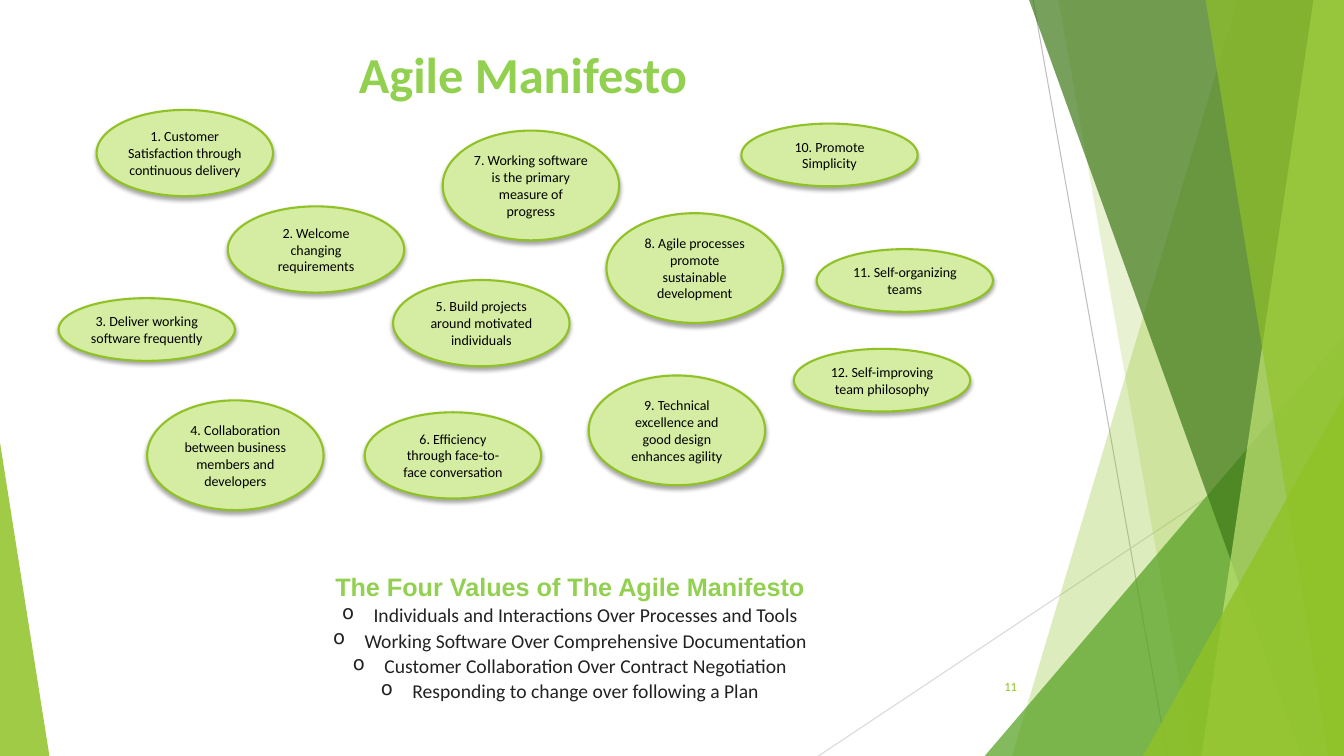
from lxml.etree import SubElement
from pptx import Presentation
from pptx.dml.color import RGBColor
from pptx.enum.shapes import MSO_CONNECTOR, MSO_SHAPE
from pptx.enum.text import MSO_ANCHOR, MSO_AUTO_SIZE, PP_ALIGN
from pptx.oxml.ns import qn
from pptx.util import Pt

WIDTH, HEIGHT = 960, 540
GREEN, TITLE_GREEN, PALE_GREEN = "90C226", "92D050", "D5EDA2"
INSET = 3.6

# Principles: left, top, number of text lines, text
PRINCIPLES = [
    (69, 78.5, 3, "1. Customer Satisfaction through continuous delivery"),
    (162.7, 147.4, 3, "2. Welcome changing\nrequirements"),
    (41.8, 213, 2, "3. Deliver working software frequently"),
    (105.1, 286, 4, "4. Collaboration between business members and developers"),
    (280.8, 200, 3, "5. Build projects around motivated individuals"),
    (260.5, 294.5, 3, "6. Efficiency through face-to-face conversation"),
    (316.2, 93.3, 4, "7. Working software is the primary measure of progress"),
    (433.2, 152.3, 4, "8. Agile processes promote sustainable development"),
    (420.5, 268.2, 4, "9. Technical excellence and good design enhances agility"),
    (529.5, 88.3, 2, "10. Promote Simplicity"),
    (583.3, 178, 2, "11. Self-organizing teams"),
    (567, 249.2, 2, "12. Self-improving team philosophy"),
]
VALUES = [
    "Individuals and Interactions Over Processes and Tools",
    "Working Software Over Comprehensive Documentation",
    "Customer Collaboration Over Contract Negotiation",
    "Responding to change over following a Plan",
]


def color(hex_code):
    return RGBColor.from_string(hex_code)


def set_font(paragraph, size, hex_code, name="Calibri", bold=False):
    font = paragraph.font
    font.size, font.name, font.bold = Pt(size), name, bold
    font.color.rgb = color(hex_code)


def set_frame(frame, anchor=MSO_ANCHOR.TOP, wrap=True):
    frame.margin_left = frame.margin_right = Pt(INSET)
    frame.margin_top = frame.margin_bottom = Pt(INSET)
    frame.auto_size = MSO_AUTO_SIZE.NONE
    frame.word_wrap = wrap
    frame.vertical_anchor = anchor


def add_facet(slide, points, hex_code, opacity):
    start, *others = [(Pt(x), Pt(y)) for x, y in points]
    builder = slide.shapes.build_freeform(*start)
    builder.add_line_segments(others, close=True)
    facet = builder.convert_to_shape()
    facet.shadow.inherit = False
    facet.fill.solid()
    facet.fill.fore_color.rgb = color(hex_code)
    facet.line.fill.background()
    fill_color = facet.fill._xPr.find(qn("a:solidFill"))[0]
    SubElement(fill_color, qn("a:alpha"), val=str(opacity * 1000))


def add_backdrop(slide, left, top, width, height):
    right, bottom = left + width, top + height

    # Thin crossing lines
    for x1, y1, x2, y2, hex_code in [
        (738, 0, 833.8, height, "BFBFBF"),
        (width, 290.2, 584.6, height, "D9D9D9"),
    ]:
        ray = slide.shapes.add_connector(
            MSO_CONNECTOR.STRAIGHT,
            Pt(left + x1), Pt(top + y1), Pt(left + x2), Pt(top + y2))
        ray.line.color.rgb = color(hex_code)
        ray.line.width = Pt(0.75)
        SubElement(ray._element.spPr, qn("a:effectLst"))

    # Facets on the right edge: top x, top y, bottom x, colour, opacity
    for top_x, top_y, bottom_x, hex_code, opacity in [
        (884.2, 0, 722.9, GREEN, 30),
        (756, 0, 851.8, GREEN, 20),
        (width, 239.8, 703.4, "54A021", 72),
        (735.1, 0, 929.5, "3F7819", 70),
        (938.2, 0, 858.2, "C0E474", 70),
        (861.1, 0, 949, GREEN, 65),
        (width, 283, 816.5, GREEN, 80),
    ]:
        points = [(left + top_x, top + top_y), (right, top + top_y),
                  (right, bottom), (left + bottom_x, bottom)]
        add_facet(slide, points, hex_code, opacity)

    # Wedge in the lower left corner
    add_facet(slide, [(left, bottom), (left, top + 316.1), (left + 35.3, bottom)],
              GREEN, 85)


def add_title(slide, left, top, width, height):
    title = slide.shapes.title
    title.left, title.top = Pt(left), Pt(top)
    title.width, title.height = Pt(width), Pt(height)
    set_frame(title.text_frame)
    title.text_frame.text = "Agile Manifesto"
    heading = title.text_frame.paragraphs[0]
    heading.alignment = PP_ALIGN.CENTER
    set_font(heading, 36, TITLE_GREEN, bold=True)


def add_principle(slide, left, top, lines, text, width=126):
    height = 11.2 + 16.8 * lines
    bubble = slide.shapes.add_shape(
        MSO_SHAPE.OVAL, Pt(left), Pt(top), Pt(width), Pt(height))
    bubble.fill.solid()
    bubble.fill.fore_color.rgb = color(PALE_GREEN)
    bubble.line.color.rgb = color(GREEN)
    bubble.line.width = Pt(1.5)

    # Soft shadow below
    bubble.shadow.inherit = False
    effects = bubble._element.spPr.find(qn("a:effectLst"))
    shadow = SubElement(effects, qn("a:outerShdw"), blurRad=str(Pt(3)),
                        dist=str(Pt(2)), dir="5400000", rotWithShape="0")
    shade = SubElement(shadow, qn("a:srgbClr"), val="000000")
    SubElement(shade, qn("a:alpha"), val="35000")

    set_frame(bubble.text_frame, MSO_ANCHOR.MIDDLE)
    bubble.text_frame.text = text
    for paragraph in bubble.text_frame.paragraphs:
        paragraph.alignment = PP_ALIGN.CENTER
        set_font(paragraph, 10, "000000")


def add_values(slide, left, top, width, height):
    values = slide.shapes.add_textbox(Pt(left), Pt(top), Pt(width), Pt(height))
    frame = values.text_frame
    set_frame(frame)
    frame.text = "\n".join(["The Four Values of The Agile Manifesto", *VALUES])
    heading, *items = frame.paragraphs
    for paragraph in frame.paragraphs:
        paragraph.alignment = PP_ALIGN.CENTER
        paragraph.line_spacing = 1.07
    set_font(heading, 18, TITLE_GREEN, "Arial", bold=True)
    for item in items:
        set_font(item, 14, "222222")
        properties = item._p.get_or_add_pPr()
        properties.set("marL", str(Pt(22.5)))
        properties.set("indent", str(Pt(-22.5)))
        bullet = properties.makeelement(qn("a:buChar"), {"char": "o"})
        properties.find(qn("a:defRPr")).addprevious(bullet)


def add_page_number(slide, left, top, width, height):
    number = slide.shapes.add_textbox(Pt(left), Pt(top), Pt(width), Pt(height))
    set_frame(number.text_frame, MSO_ANCHOR.MIDDLE, wrap=False)
    number.text_frame.text = "11"
    paragraph = number.text_frame.paragraphs[0]
    paragraph.alignment = PP_ALIGN.RIGHT
    set_font(paragraph, 9, GREEN)


def main():
    deck = Presentation()
    deck.slide_width, deck.slide_height = Pt(WIDTH), Pt(HEIGHT)
    slide = deck.slides.add_slide(deck.slide_layouts[5])
    add_backdrop(slide, 0, 0, WIDTH, HEIGHT)
    add_title(slide, 142.6, 27.4, 462.2, 39.6)
    for principle in PRINCIPLES:
        add_principle(slide, *principle)
    add_values(slide, 209.5, 403.2, 395.3, 103)
    add_page_number(slide, 712.8, 481.7, 17.3, 17.3)
    deck.save("out.pptx")


if __name__ == "__main__":
    main()
